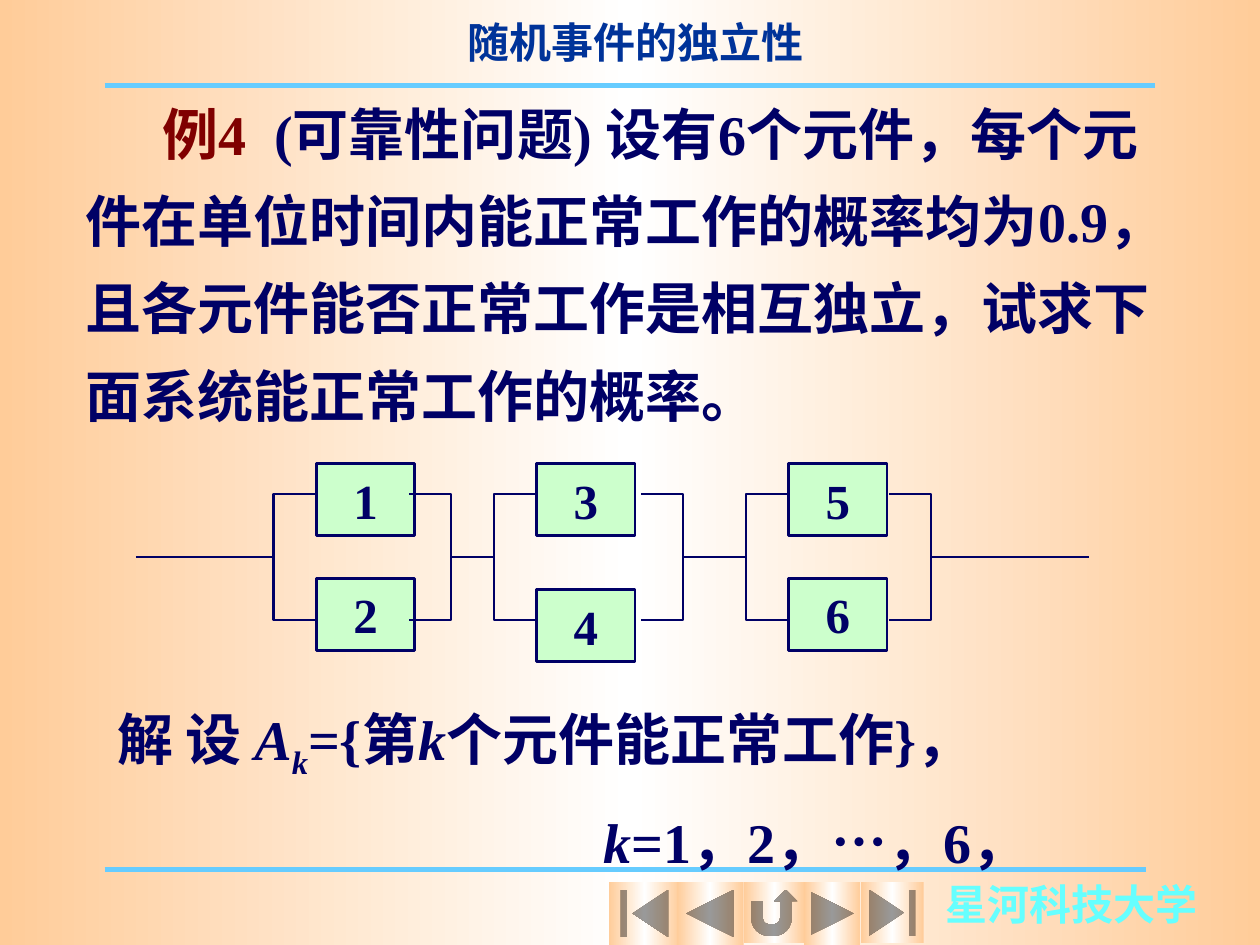
from copy import deepcopy
from pptx import Presentation
from pptx.dml.color import RGBColor
from pptx.enum.lang import MSO_LANGUAGE_ID
from pptx.enum.shapes import MSO_CONNECTOR, MSO_SHAPE
from pptx.enum.text import MSO_ANCHOR, MSO_AUTO_SIZE, PP_ALIGN
from pptx.oxml import parse_xml
from pptx.oxml.ns import nsdecls, qn
from pptx.util import Cm, Pt


class Theme:
    navy = RGBColor.from_string("000066")
    maroon = RGBColor.from_string("800000")
    heading = RGBColor.from_string("003399")
    rule = RGBColor.from_string("66CCFF")
    school = RGBColor.from_string("66FFFF")
    component = RGBColor.from_string("CCFFCC")
    edge = RGBColor.from_string("FFCC99")
    middle = RGBColor.from_string("FFFFFF")
    font = "Times New Roman"
    small, label, body = Pt(24), Pt(28), Pt(32)
    wire, bar = Pt(1.5), Pt(3)


HEADING = "随机事件的独立性"
SCHOOL = "星河科技大学"
PROBLEM = [
    dict(runs=[("例4", "example"),
               ("\t(可靠性问题) 设有6个元件，每个元件在单位时间内能正常工作的概率均为"
                "0.9，且各元件能否正常工作是相互独立，试求下面系统能正常工作的概率。", "body")],
         indent=1.55, tab=4.08, line_spacing=1.3, space_before=Pt(20)),
]
SOLUTION = [
    dict(runs=[("解 设\t", "body"), ("A", "symbol"), ("k", "subscript"), ("={第", "body"),
               ("k", "symbol"), ("个元件能正常工作}，", "body")],
         indent=1.04, tab=4.55),
    dict(runs=[("k", "symbol"), ("=1，2，…，6，", "body")], indent=10.84, line_spacing=1.4),
]
STAGES = [
    dict(labels="12", left=6.38, lower_top=11.66, spines=(5.51, 9.09)),
    dict(labels="34", left=10.82, lower_top=11.89, spines=(9.96, 13.77)),
    dict(labels="56", left=15.9, lower_top=11.66, spines=(15.04, 18.77)),
]
UPPER_TOP, BOX_WIDTH, BOX_HEIGHT = 9.35, 1.98, 1.45
STUB, UPPER_WIRE, LOWER_WIRE = 0.84, 9.96, 12.5
SYSTEM_ENDS = (2.74, 21.95)
RULES = [(2.11, 23.11, 17.53), (2.11, 23.29, 1.73)]
BUTTONS = [
    (MSO_SHAPE.ACTION_BUTTON_BEGINNING, 12.27, 1.45, 1.27),
    (MSO_SHAPE.ACTION_BUTTON_BACK_OR_PREVIOUS, 13.64, 1.35, 1.27),
    (MSO_SHAPE.ACTION_BUTTON_RETURN, 14.99, 1.24, 1.24),
    (MSO_SHAPE.ACTION_BUTTON_FORWARD_OR_NEXT, 16.21, 1.14, 1.27),
    (MSO_SHAPE.ACTION_BUTTON_END, 17.35, 1.27, 1.24),
]
BASE = dict(name=Theme.font, bold=True, language_id=MSO_LANGUAGE_ID.SIMPLIFIED_CHINESE)
FORMATS = {
    "heading": dict(BASE, size=Theme.small, color=Theme.heading),
    "school": dict(BASE, size=Theme.small, color=Theme.school),
    "label": dict(BASE, size=Theme.label, color=Theme.navy),
    "example": dict(BASE, size=Theme.body, color=Theme.maroon),
    "body": dict(BASE, size=Theme.body, color=Theme.navy),
    "symbol": dict(BASE, size=Theme.body, color=Theme.navy, italic=True),
}
FORMATS["subscript"] = FORMATS["symbol"]


def add_run(paragraph, words, style):
    run = paragraph.add_run()
    run.text = words
    for key, value in FORMATS[style].items():
        if key == "color":
            run.font.color.rgb = value
        else:
            setattr(run.font, key, value)
    if style == "subscript":
        run.font._element.set("baseline", "-25000")


def write(frame, paragraphs, wrap=True):
    frame.word_wrap = wrap
    frame.auto_size = MSO_AUTO_SIZE.NONE
    for number, content in enumerate(paragraphs):
        paragraph = frame.add_paragraph() if number else frame.paragraphs[0]
        for key in ("alignment", "line_spacing", "space_before"):
            if key in content:
                setattr(paragraph, key, content[key])
        properties = paragraph._p.get_or_add_pPr()
        if "indent" in content:
            properties.set("marL", "0")
            properties.set("indent", str(Cm(content["indent"])))
        if "tab" in content:
            properties.append(parse_xml(
                f'<a:tabLst {nsdecls("a")}><a:tab pos="{Cm(content["tab"])}" algn="l"/></a:tabLst>'))
        for words, style in content["runs"]:
            add_run(paragraph, words, style)


def add_text(slide, place, paragraphs, wrap=True):
    write(slide.shapes.add_textbox(*map(Cm, place)).text_frame, paragraphs, wrap)


def add_level_line(slide, start, end, height, color, width):
    line = slide.shapes.add_connector(
        MSO_CONNECTOR.STRAIGHT, Cm(start), Cm(height), Cm(end), Cm(height))
    line.line.color.rgb = color
    line.line.width = width
    line._element.spPr.append(parse_xml(f'<a:effectLst {nsdecls("a")}/>'))


def outline(shape):
    shape.shadow.inherit = False
    shape.line.color.rgb = Theme.navy
    shape.line.width = Theme.wire


def add_component(slide, label, left, top):
    component = slide.shapes.add_shape(
        MSO_SHAPE.RECTANGLE, *map(Cm, (left, top, BOX_WIDTH, BOX_HEIGHT)))
    component.fill.solid()
    component.fill.fore_color.rgb = Theme.component
    outline(component)
    component.text_frame.vertical_anchor = MSO_ANCHOR.MIDDLE
    write(component.text_frame,
          [dict(runs=[(label, "label")], alignment=PP_ALIGN.CENTER)], wrap=False)


def add_bracket(slide, spine, tip):
    builder = slide.shapes.build_freeform(Cm(tip), Cm(UPPER_WIRE))
    builder.add_line_segments(
        [(Cm(x), Cm(y)) for x, y in
         ((spine, UPPER_WIRE), (spine, LOWER_WIRE), (tip, LOWER_WIRE))], close=False)
    bracket = builder.convert_to_shape()
    bracket.fill.background()
    outline(bracket)


def shade(fill):
    fill.gradient()
    fill.gradient_angle = 180
    for stop in fill.gradient_stops:
        stop.color.rgb = Theme.edge


def add_middle_stops(slide):
    for stops in slide.element.iter(qn("a:gsLst")):
        center = deepcopy(stops[0])
        center.set("pos", "50000")
        center[0].set("val", str(Theme.middle))
        stops.insert(1, center)


def add_circuit(slide):
    for stage in STAGES:
        for label, top in zip(stage["labels"], (UPPER_TOP, stage["lower_top"])):
            add_component(slide, label, stage["left"], top)
    for stage in STAGES:
        for spine, stub in zip(stage["spines"], (STUB, -STUB)):
            add_bracket(slide, spine, spine + stub)
    joints = [SYSTEM_ENDS[0], *(x for stage in STAGES for x in stage["spines"]), SYSTEM_ENDS[1]]
    middle = (UPPER_WIRE + LOWER_WIRE) / 2
    for start, end in zip(joints[::2], joints[1::2]):
        add_level_line(slide, start, end, middle, Theme.navy, Theme.wire)


def main():
    deck = Presentation()
    deck.slide_width, deck.slide_height = Cm(25.4), Cm(19.05)
    slide = deck.slides.add_slide(deck.slide_layouts[5])
    shade(slide.background.fill)

    for start, end, height in RULES:
        add_level_line(slide, start, end, height, Theme.rule, Theme.bar)
    add_text(slide, (18.82, 17.58, 5.59, 1.27), [dict(runs=[(SCHOOL, "school")])], wrap=False)

    title = slide.shapes.title
    title.left, title.top, title.width, title.height = map(Cm, (8.05, 0.2, 9.53, 1.27))
    title.text_frame.vertical_anchor = MSO_ANCHOR.MIDDLE
    write(title.text_frame, [dict(runs=[(HEADING, "heading")], alignment=PP_ALIGN.CENTER)])

    add_text(slide, (1.47, 1.47, 22.43, 7.32), PROBLEM)
    add_circuit(slide)
    add_text(slide, (1.07, 14.07, 24.33, 3.71), SOLUTION)

    for kind, left, width, height in BUTTONS:
        button = slide.shapes.add_shape(kind, *map(Cm, (left, 17.78, width, height)))
        shade(button.fill)
        button.line.fill.background()
        button.shadow.inherit = False
    add_middle_stops(slide)
    deck.save("out.pptx")


if __name__ == "__main__":
    main()
